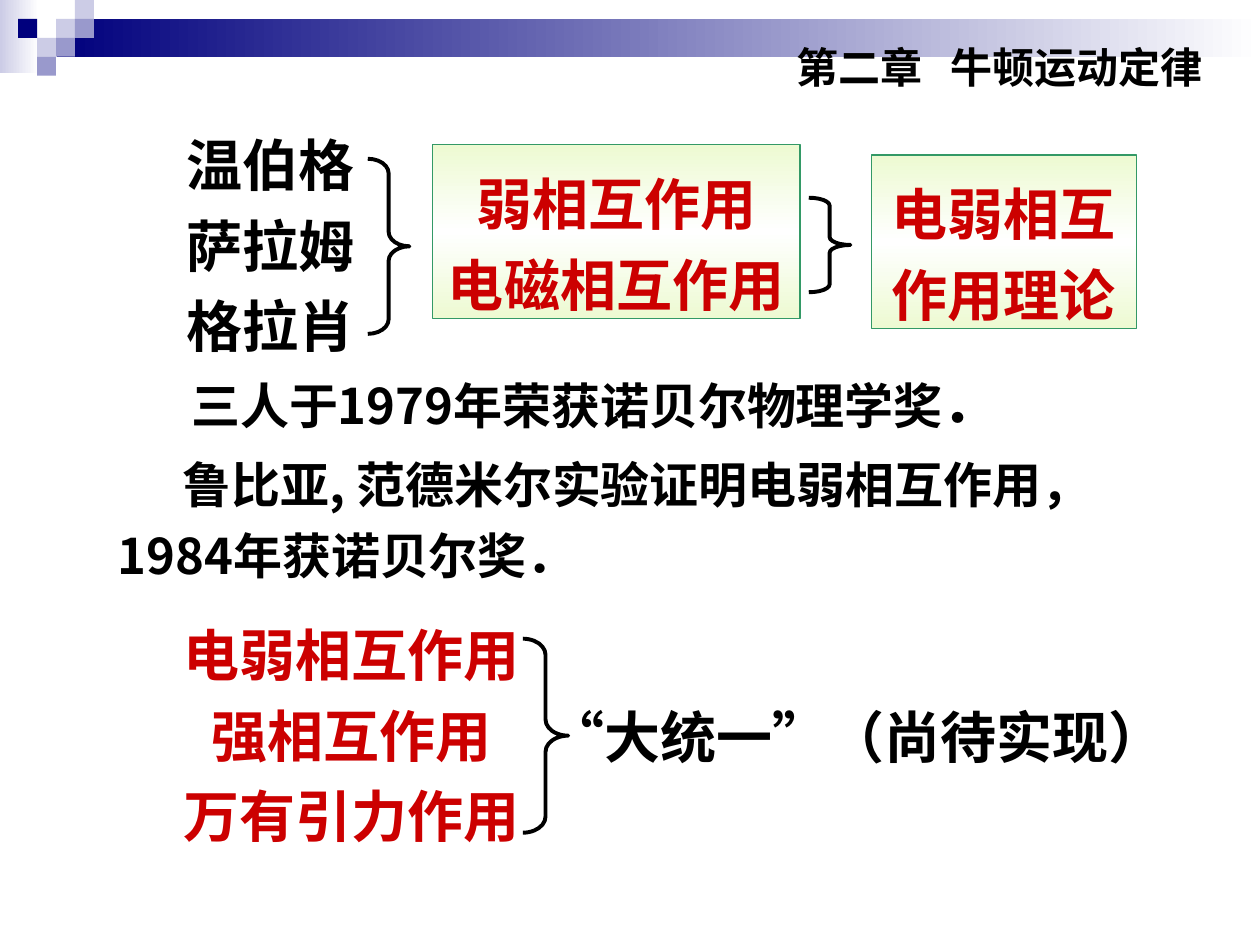
import copy
import dataclasses
import typing

import lxml.etree
import pptx
import pptx.dml.color
import pptx.enum.lang
import pptx.enum.shapes
import pptx.enum.text
import pptx.oxml.ns
import pptx.util

Pt = pptx.util.Pt
SHAPES = pptx.enum.shapes.MSO_SHAPE
ALIGN = pptx.enum.text.PP_ALIGN
CJK = "Noto Sans CJK SC"
COLOURS = {
    "black": "000000", "red": "CC0000", "white": "FFFFFF", "navy": "00007D",
    "lilac": "CCCCE6", "violet": "9999CC", "lime": "EDFAD2", "green": "339966",
}


@dataclasses.dataclass
class Area:
    left: float
    top: float
    width: float
    height: float

    def lengths(self) -> list:
        return [Pt(value) for value in dataclasses.astuple(self)]


@dataclasses.dataclass
class Words:
    text: str
    size: float = 32
    font: str = CJK


@dataclasses.dataclass
class Line:
    words: list[Words]
    pitch: float = 46
    indent: float = 0


@dataclasses.dataclass
class Block:
    area: Area
    lines: list[Line]
    colour: str = "black"
    align: typing.Any = ALIGN.LEFT
    side: float = 7.2
    top: float = 6.6
    bottom: float = 0.6
    framed: bool = False


def rgb(name: str) -> pptx.dml.color.RGBColor:
    return pptx.dml.color.RGBColor.from_string(COLOURS[name])


def plain(*texts: str) -> list[Line]:
    return [Line([Words(text)]) for text in texts]


def set_values(target: typing.Any, values: dict) -> None:
    for name, value in values.items():
        setattr(target, name, value)


def add_words(para, words: Words, colour: str) -> None:
    span = para.add_run()
    span.text = words.text
    set_values(span.font, {
        "name": words.font, "size": Pt(words.size), "bold": True,
        "language_id": pptx.enum.lang.MSO_LANGUAGE_ID.SIMPLIFIED_CHINESE,
    })
    span.font.color.rgb = rgb(colour)
    latin = span.font._element.find(pptx.oxml.ns.qn("a:latin"))
    east = lxml.etree.Element(pptx.oxml.ns.qn("a:ea"), typeface=CJK)
    latin.addnext(east)


def paint_gradient(shape, names: list[str], angle: float) -> None:
    shape.fill.gradient()
    shape.fill.gradient_angle = angle
    stops = shape._element.spPr.find(".//" + pptx.oxml.ns.qn("a:gsLst"))
    for extra in range(len(names) - 2):
        stops.append(copy.deepcopy(stops[0]))
    for index, (stop, name) in enumerate(zip(shape.fill.gradient_stops, names)):
        stop.color.rgb = rgb(name)
        stop.position = index / (len(names) - 1)


def add_panel(page, area: Area, names: list[str], angle: float = 0):
    panel = page.shapes.add_shape(SHAPES.RECTANGLE, *area.lengths())
    panel.shadow.inherit = False
    panel.line.fill.background()
    if len(names) == 1:
        panel.fill.solid()
        panel.fill.fore_color.rgb = rgb(names[0])
    else:
        paint_gradient(panel, names, angle)
    return panel


def add_block(page, block: Block) -> None:
    if block.framed:
        box = add_panel(page, block.area, ["lime", "white", "lime"], 90)
        box.line.color.rgb = rgb("green")
        box.line.width = Pt(0.75)
    else:
        box = page.shapes.add_textbox(*block.area.lengths())
    frame = box.text_frame
    set_values(frame, {
        "word_wrap": True,
        "vertical_anchor": pptx.enum.text.MSO_ANCHOR.TOP,
        "auto_size": pptx.enum.text.MSO_AUTO_SIZE.SHAPE_TO_FIT_TEXT,
        "margin_left": Pt(block.side), "margin_right": Pt(block.side),
        "margin_top": Pt(block.top), "margin_bottom": Pt(block.bottom),
    })
    for index, line in enumerate(block.lines):
        para = frame.add_paragraph() if index else frame.paragraphs[0]
        para.alignment = block.align
        para.line_spacing = Pt(line.pitch)
        if line.indent:
            para._p.get_or_add_pPr().set("indent", str(Pt(line.indent)))
        for words in line.words:
            add_words(para, words, block.colour)


def add_brace(page, area: Area) -> None:
    brace = page.shapes.add_shape(SHAPES.RIGHT_BRACE, *area.lengths())
    brace.shadow.inherit = False
    brace.fill.background()
    brace.line.color.rgb = rgb("black")
    brace.line.width = Pt(2.25)
    brace.adjustments[0] = area.height / area.width / 12


def add_banner(page) -> None:
    add_panel(page, Area(0, 0, 22.3, 41.8), ["lilac", "white"])
    add_panel(page, Area(32.4, 10.8, 687.6, 21.6), ["navy", "white"])
    tile = 10.8
    tiles = [(3, 1, "lilac"), (4, 0, "lilac"), (4, 1, "violet"), (2, 2, "lilac"),
             (1, 1, "navy"), (3, 2, "violet"), (2, 3, "violet")]
    for column, row, name in tiles:
        left = 10.4 + (column - 1) * tile
        add_panel(page, Area(left, row * tile, tile, tile), [name])


def format_title(page) -> None:
    title = page.shapes.title
    area = Area(447.8, 20.2, 272.2, 36)
    set_values(title, dict(zip(["left", "top", "width", "height"], area.lengths())))
    frame = title.text_frame
    set_values(frame, {
        "word_wrap": True,
        "vertical_anchor": pptx.enum.text.MSO_ANCHOR.TOP,
        "auto_size": pptx.enum.text.MSO_AUTO_SIZE.NONE,
        "margin_left": Pt(7.2), "margin_right": Pt(7.2),
        "margin_top": Pt(3.6), "margin_bottom": Pt(3.6),
    })
    para = frame.paragraphs[0]
    para.alignment = ALIGN.LEFT
    add_words(para, Words("第二章   牛顿运动定律", 24, "Arial"), "black")
    title._element.getparent().append(title._element)


BLOCKS = [
    Block(Area(99.4, 60.5, 144, 145.2), plain("温伯格", "萨拉姆", "格拉肖")),
    Block(Area(247, 82.8, 210.2, 99.2), plain("弱相互作用", "电磁相互作用"),
          "red", ALIGN.CENTER, framed=True),
    Block(Area(498.2, 88.6, 151.2, 99.2), plain("电弱相互", "作用理论"),
          "red", ALIGN.CENTER, framed=True),
    Block(Area(102.2, 196.6, 547.2, 53.2), [Line([
        Words("三人于1979年荣获诺贝尔物理学奖", 28),
        Words("．", 32, "Times New Roman")])]),
    Block(Area(40.3, 246.2, 625.7, 87), [
        Line([Words("鲁比亚, 范德米尔实验证明电弱相互作用，", 28)], 46, 64),
        Line([Words("1984年获诺贝尔奖．", 28)], 41, 27)], side=0, top=1, bottom=0),
    Block(Area(84.2, 340.6, 234, 145.2),
          plain("电弱相互作用", "强相互作用", "万有引力作用"), "red", ALIGN.CENTER),
    Block(Area(313.2, 391, 362.9, 49), plain("“大统一”（尚待实现）"),
          side=0, top=3, bottom=0),
]
BRACES = [Area(210.2, 90.7, 23.8, 100.1), Area(462.2, 113, 23.8, 54),
          Area(298.8, 365, 25.9, 110.9)]


def main() -> None:
    deck = pptx.Presentation()
    deck.slide_width, deck.slide_height = Pt(720), Pt(540)
    page = deck.slides.add_slide(deck.slide_layouts.get_by_name("Title Only"))
    add_banner(page)
    format_title(page)
    for block in BLOCKS:
        add_block(page, block)
    for area in BRACES:
        add_brace(page, area)
    deck.save("out.pptx")


if __name__ == "__main__":
    main()
